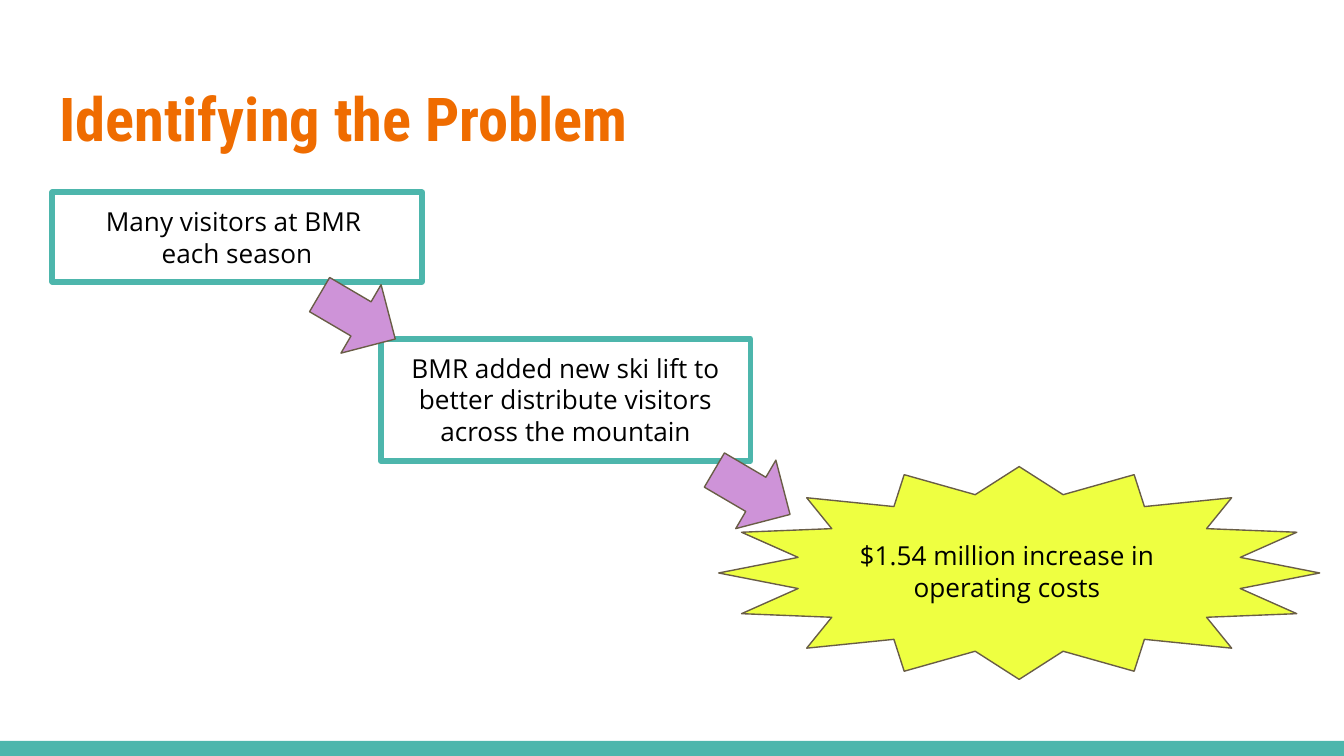
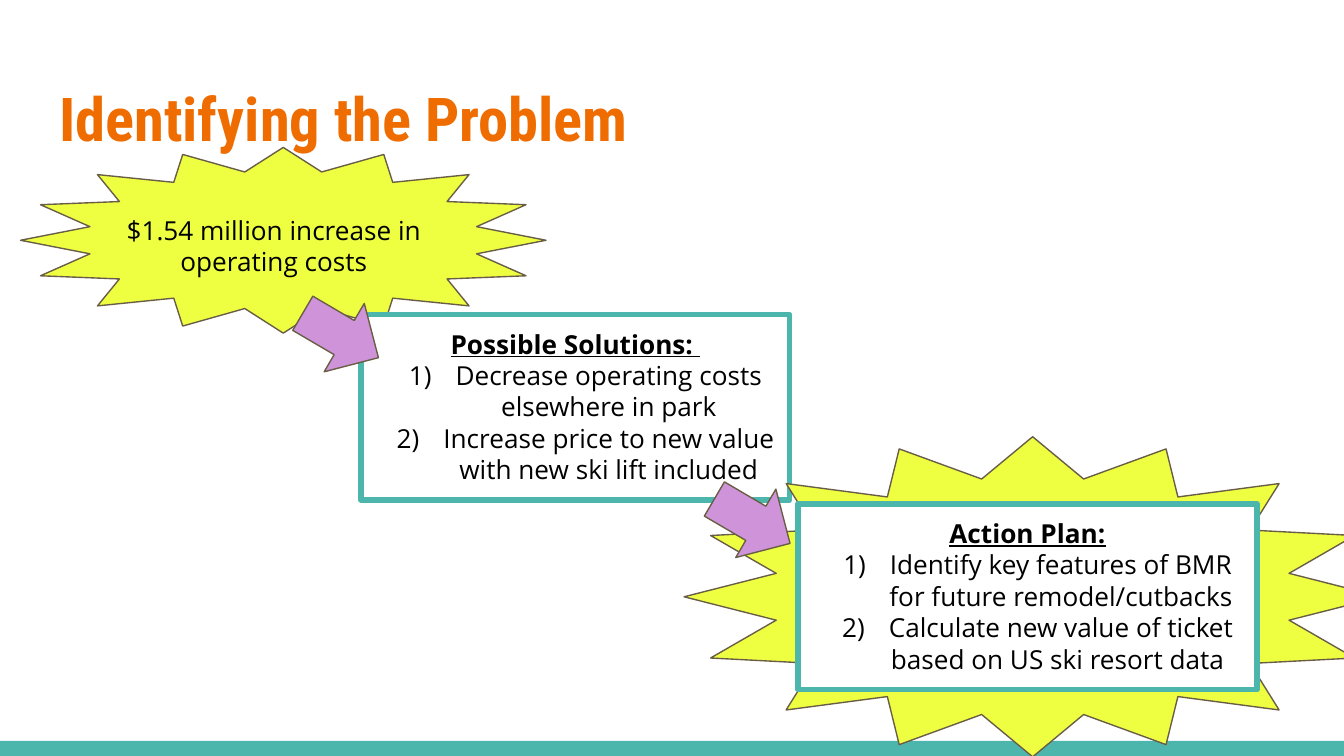
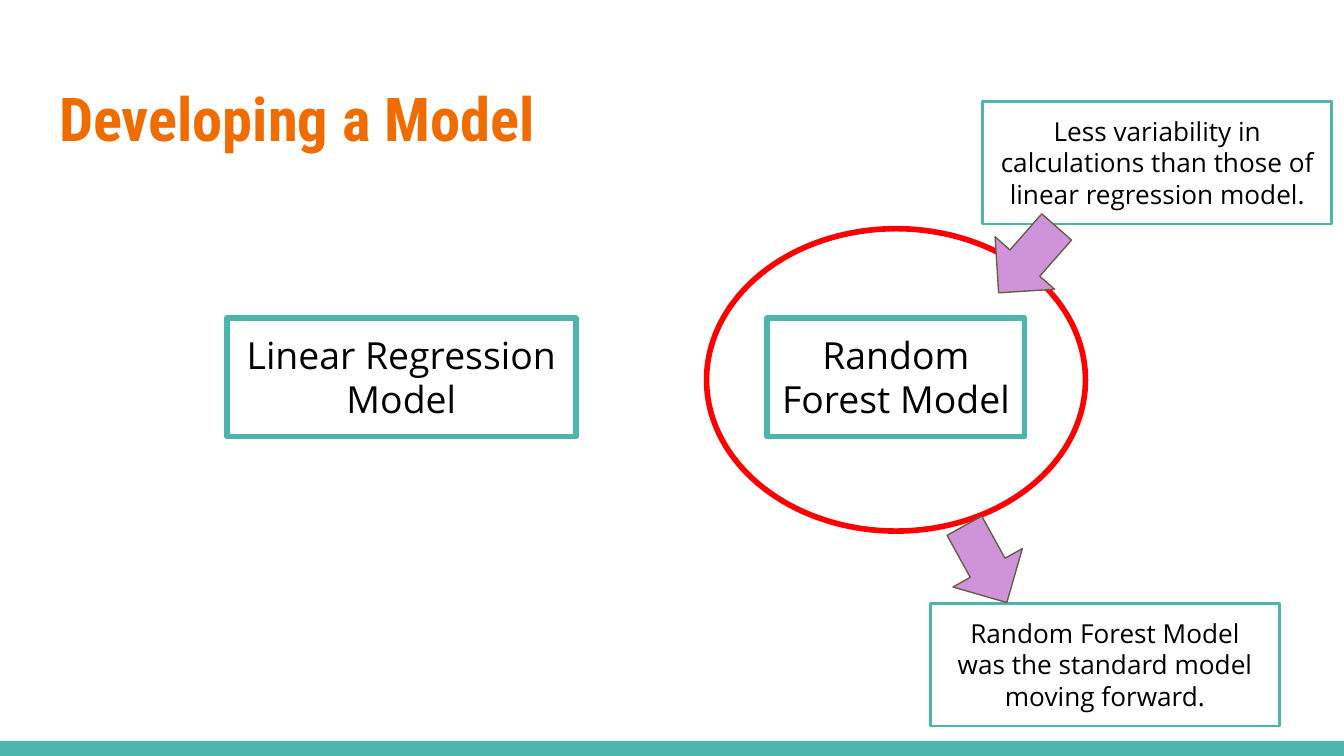
from lxml.etree import SubElement
from pptx import Presentation
from pptx.dml.color import RGBColor
from pptx.enum.shapes import MSO_SHAPE
from pptx.enum.text import MSO_ANCHOR, MSO_AUTO_SIZE, PP_ALIGN
from pptx.oxml.ns import qn
from pptx.util import Pt

TEAL = RGBColor(0x4D, 0xB6, 0xAC)
ORANGE = RGBColor(0xEF, 0x6C, 0x00)
YELLOW = RGBColor(0xEE, 0xFF, 0x41)
PURPLE = RGBColor(0xCE, 0x93, 0xD8)
BROWN = RGBColor(0x69, 0x5D, 0x46)
RED = RGBColor(0xFF, 0x00, 0x00)
BLACK = RGBColor(0x00, 0x00, 0x00)
WHITE = RGBColor(0xFF, 0xFF, 0xFF)

WIDE, HIGH = 720, 405
BAND = 8
INSET = 7.2
COST = ["$1.54 million increase in operating costs"]

SLIDES = [
    ("Identifying the Problem", [
        ("box", (204, 181.5, 198, 65.5), {"lines": [
            "BMR added new ski lift to better distribute visitors across the mountain"]}),
        ("star", (385, 250, 322, 114), {}),
        ("label", (440.5, 282, 198, 48), {"lines": COST}),
        ("arrow", (379.5, 242.5), {}),
        ("box", (28, 103, 198, 48), {"lines": ["Many visitors at BMR ", "each season"]}),
        ("arrow", (168, 148.5), {}),
    ]),
    ("Identifying the Problem", [
        ("star", (11, 79, 281.5, 99.5), {}),
        ("label", (60, 107.5, 173.5, 48), {"lines": COST}),
        ("box", (193.5, 168.5, 229.5, 99.5), {"fill": WHITE, "head": "Possible Solutions: ", "lines": [
            "Decrease operating costs elsewhere in park",
            "Increase price to new value with new ski lift included"]}),
        ("arrow", (159, 158.5), {}),
        ("star", (366.5, 234, 373.5, 171.5), {}),
        ("box", (427.5, 270, 246, 99.5), {"fill": WHITE, "head": "Action Plan:", "lines": [
            "Identify key features of BMR for future remodel/cutbacks",
            "Calculate new value of ticket based on US ski resort data "]}),
        ("arrow", (379.5, 258), {}),
    ]),
    ("Developing a Model", [
        ("box", (121.5, 170.5, 187, 63.5), {"lines": ["Linear Regression Model"], "size": 20}),
        ("box", (411, 170.5, 138, 63.5), {"lines": ["Random Forest Model"], "size": 20}),
        ("ring", (378.5, 122.5, 203, 162), {}),
        ("box", (526.5, 54.5, 187, 65.5), {"edge": 1.5, "lines": [
            "Less variability in calculations than those of linear regression model."]}),
        ("arrow", (527, 118), {"turn": 131.4}),
        ("box", (498.5, 323.5, 187, 65.5), {"edge": 1.5, "lines": [
            "Random Forest Model was the standard model moving forward."]}),
        ("arrow", (504.5, 281), {"turn": 61.1}),
    ]),
]


def pad(frame):
    frame.word_wrap = True
    frame.margin_left = frame.margin_right = Pt(INSET)
    frame.margin_top = frame.margin_bottom = Pt(INSET)


def style(font, name, size, color, bold=False):
    font.name, font.size, font.bold = name, Pt(size), bold
    font.color.rgb = color


def number(para):
    props = para._p.get_or_add_pPr()
    props.set("marL", str(Pt(36)))
    props.set("indent", str(Pt(-25)))
    tint = SubElement(props, qn("a:buClr"))
    SubElement(tint, qn("a:srgbClr"), val=str(BLACK))
    SubElement(props, qn("a:buAutoNum"), type="arabicParenR")


def write(shape, lines, head=None, size=14):
    frame = shape.text_frame
    pad(frame)
    frame.auto_size = MSO_AUTO_SIZE.SHAPE_TO_FIT_TEXT
    frame.vertical_anchor = MSO_ANCHOR.TOP
    frame.text = "\n".join([head] + lines if head else lines)
    for pos, para in enumerate(frame.paragraphs):
        para.alignment = PP_ALIGN.CENTER
        top = bool(head) and pos == 0
        for run in para.runs:
            style(run.font, "Open Sans", size, BLACK, top)
            run.font.underline = top
        if head and not top:
            number(para)


def draw(slide, form, area, fill=None, line=None, edge=0.75):
    shape = slide.shapes.add_shape(form, *map(Pt, area))
    shape.shadow.inherit = False
    if fill is None:
        shape.fill.background()
    else:
        shape.fill.solid()
        shape.fill.fore_color.rgb = fill
    if line is None:
        shape.line.fill.background()
    else:
        shape.line.color.rgb = line
        shape.line.width = Pt(edge)
        SubElement(shape.element.spPr.find(qn("a:ln")), qn("a:round"))
    return shape


def box(slide, area, lines, head=None, size=14, fill=None, edge=3):
    shape = draw(slide, MSO_SHAPE.RECTANGLE, area, fill, TEAL, edge)
    write(shape, lines, head, size)


def label(slide, area, lines):
    write(slide.shapes.add_textbox(*map(Pt, area)), lines)


def star(slide, area):
    draw(slide, MSO_SHAPE.STAR_16_POINT, area, YELLOW, BROWN)


def ring(slide, area):
    draw(slide, MSO_SHAPE.OVAL, area, None, RED, 3)


def arrow(slide, spot, turn=30.4):
    shape = draw(slide, MSO_SHAPE.RIGHT_ARROW, (*spot, 47, 42.5), PURPLE, BROWN)
    shape.rotation = turn


def title(slide, text):
    shape = slide.shapes.title
    shape.left, shape.top, shape.width, shape.height = map(Pt, (24.5, 35, 671, 55.5))
    frame = shape.text_frame
    frame.text = text
    pad(frame)
    frame.auto_size = MSO_AUTO_SIZE.NONE
    frame.vertical_anchor = MSO_ANCHOR.MIDDLE
    para = frame.paragraphs[0]
    para.alignment = PP_ALIGN.LEFT
    style(para.runs[0].font, "Roboto Condensed", 32.4, ORANGE, True)


def main():
    deck = Presentation()
    deck.slide_width, deck.slide_height = Pt(WIDE), Pt(HIGH)
    plan = deck.slide_layouts[5]
    tools = {"box": box, "label": label, "star": star, "ring": ring, "arrow": arrow}
    for text, parts in SLIDES:
        slide = deck.slides.add_slide(plan)
        title(slide, text)
        for kind, area, opts in parts:
            tools[kind](slide, area, **opts)
    band = draw(slide, MSO_SHAPE.RECTANGLE, (0, HIGH - BAND, WIDE, BAND), TEAL)
    plan.shapes.element.append(band.element)
    deck.save("out.pptx")


if __name__ == "__main__":
    main()
